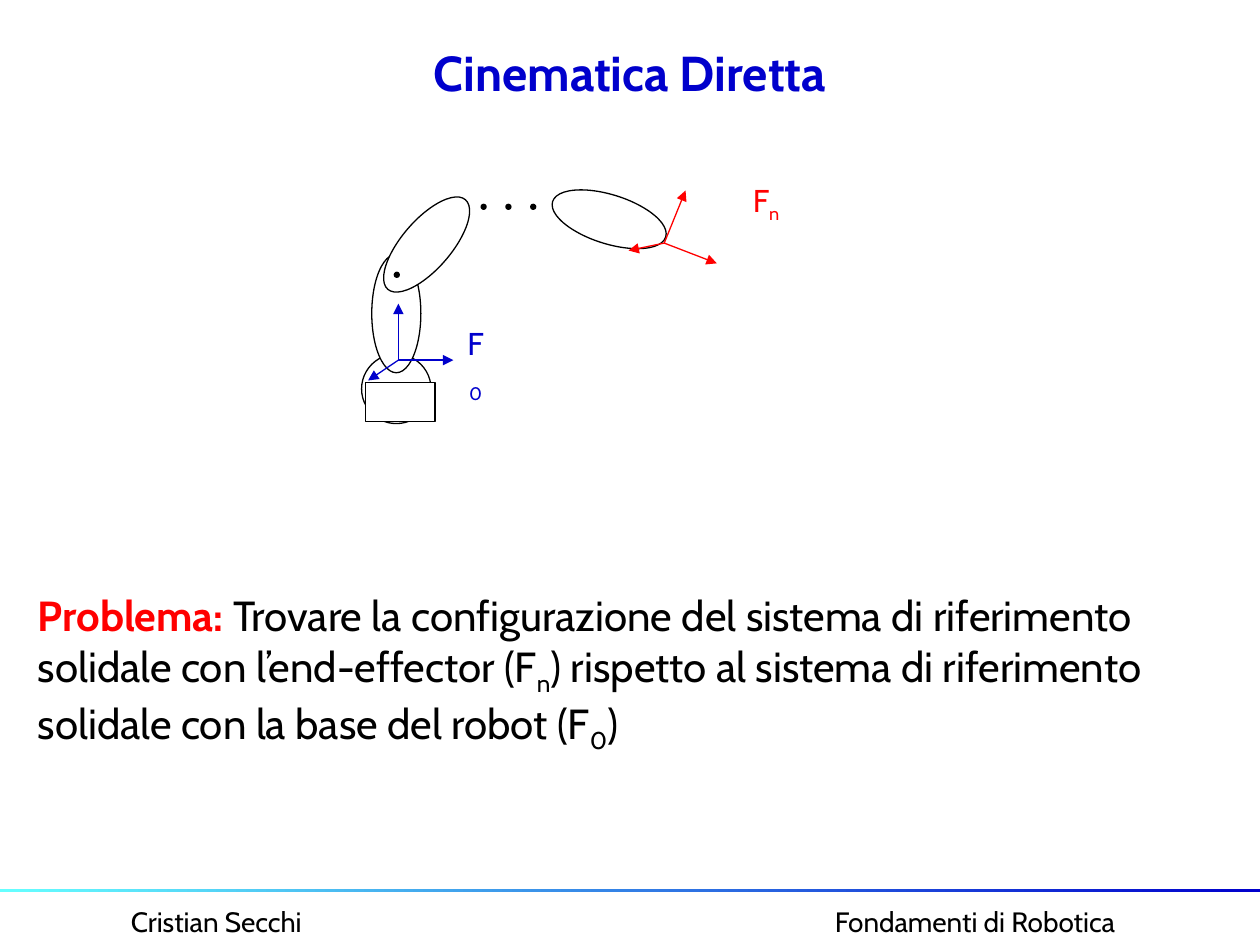
from dataclasses import dataclass

from lxml import etree
from pptx import Presentation
from pptx.dml import color as dml
from pptx.enum import shapes, text
from pptx.oxml import ns
from pptx.util import Cm, Pt

BLUE, RED, BLACK, WHITE = "0000CC", "FF0000", "000000", "FFFFFF"
OVAL, RECT = shapes.MSO_SHAPE.OVAL, shapes.MSO_SHAPE.RECTANGLE
CENTER, LEFT = text.PP_ALIGN.CENTER, text.PP_ALIGN.LEFT


@dataclass
class Part:
    cx: float
    cy: float
    width: float
    height: float
    kind: int = OVAL
    angle: float = 0
    fill: str = WHITE


@dataclass
class Frame:
    origin: tuple
    tips: list
    hue: str


@dataclass
class Run:
    words: str
    hue: str = BLACK
    bold: bool = False
    sub: bool = False


def paint(target, hue: str) -> None:
    target.rgb = dml.RGBColor.from_string(hue)


def place(item, left: float, top: float, width: float, height: float) -> None:
    item.left, item.top, item.width, item.height = map(Cm, (left, top, width, height))


def write(item, runs: list, size=18, align=LEFT, wrap=True,
          anchor=text.MSO_ANCHOR.TOP) -> None:
    frame = item.text_frame
    frame.word_wrap = wrap
    frame.auto_size = text.MSO_AUTO_SIZE.NONE
    frame.vertical_anchor = anchor
    paragraph = frame.paragraphs[0]
    props = paragraph._p.get_or_add_pPr()
    props.set("marL", "0")
    props.set("indent", "0")
    etree.SubElement(props, ns.qn("a:buNone"))
    paragraph.alignment = align
    paragraph.space_before = Pt(0)
    for part in runs:
        run = paragraph.add_run()
        run.text = part.words
        run.font.name = "Cabin"
        run.font.size = Pt(size)
        run.font.bold = part.bold
        paint(run.font.color, part.hue)
        if part.sub:
            run.font._element.set("baseline", "-25000")


def add_label(slide, runs: list, box: tuple, **look) -> None:
    write(slide.shapes.add_textbox(*map(Cm, box)), runs, **look)


def draw_part(slide, part: Part) -> None:
    body = slide.shapes.add_shape(
        part.kind, Cm(part.cx - part.width / 2), Cm(part.cy - part.height / 2),
        Cm(part.width), Cm(part.height))
    body.rotation = part.angle
    body.shadow.inherit = False
    body.fill.solid()
    paint(body.fill.fore_color, part.fill)
    paint(body.line.color, BLACK)
    body.line.width = Pt(0.75)


def draw_frame(slide, frame: Frame) -> None:
    for tip in frame.tips:
        axis = slide.shapes.add_connector(
            shapes.MSO_CONNECTOR.STRAIGHT, *map(Cm, (*frame.origin, *tip)))
        paint(axis.line.color, frame.hue)
        axis.line.width = Pt(0.75)
        etree.SubElement(axis.line._get_or_add_ln(), ns.qn("a:tailEnd"), type="triangle")
        etree.SubElement(axis._element.spPr, ns.qn("a:effectLst"))


def draw_footer(slide) -> None:
    add_label(slide, [Run("Cristian Secchi")], (2.39, 18.11, 5, 0.94), size=16)
    add_label(slide, [Run("Fondamenti di Robotica")], (16.58, 18.11, 7, 0.94), size=16)
    rule = slide.shapes.add_shape(RECT, 0, Cm(17.93), Cm(25.4), Cm(0.05))
    rule.shadow.inherit = False
    rule.line.fill.background()
    rule.fill.gradient()
    rule.fill.gradient_angle = 0
    for stop, position, hue in zip(rule.fill.gradient_stops, (0, 1), ("66FFFF", BLUE)):
        stop.position = position
        paint(stop.color, hue)


def main() -> None:
    deck = Presentation()
    deck.slide_width, deck.slide_height = Cm(25.4), Cm(19.05)
    slide = deck.slides.add_slide(deck.slide_layouts[1])
    title, problem = slide.placeholders

    draw_footer(slide)
    place(title, 1.27, 0.76, 22.86, 1.37)
    write(title, [Run("Cinematica Diretta", BLUE, bold=True)], size=28,
          align=CENTER, anchor=text.MSO_ANCHOR.MIDDLE)

    link = (0.99, 2.39)
    robot = [
        Part(7.99, 7.84, 1.4, 1.4),
        Part(8.07, 8.11, 1.4, 0.79, kind=RECT),
        Part(7.99, 6.32, *link),
        Part(8.6, 4.93, *link, angle=40.9),
        Part(12.28, 4.42, *link, angle=107.4),
    ]
    dots = [(9.75 + 0.5 * i, 4.17) for i in range(3)] + [(8, 5.54)]
    robot += [Part(*dot, 0.1, 0.1, fill=BLACK) for dot in dots]
    for part in robot:
        draw_part(slide, part)

    base = Frame((8.03, 7.26), [(8.03, 6.12), (9.14, 7.26), (7.42, 7.67)], BLUE)
    effector = Frame((13.39, 4.9), [(13.82, 3.84), (14.45, 5.31), (12.67, 5.05)], RED)
    for frame in (base, effector):
        draw_frame(slide, frame)
    add_label(slide, [Run("F", BLUE), Run("0", BLUE, sub=True)],
              (9.09, 6.4, 1, 1.12), align=CENTER)
    add_label(slide, [Run("F", RED), Run("n", RED, sub=True)],
              (14.91, 3.53, 1.07, 1.12), align=CENTER, wrap=False)

    place(problem, 0.51, 11.76, 24.21, 3.58)
    write(problem, [
        Run("Problema: ", RED, bold=True),
        Run("Trovare la configurazione del sistema di riferimento "
            "solidale con l’end-effector (F"),
        Run("n", sub=True),
        Run(") rispetto al sistema di riferimento solidale con la base del robot (F"),
        Run("0", sub=True),
        Run(")"),
    ], size=24)
    deck.save("out.pptx")


if __name__ == "__main__":
    main()
